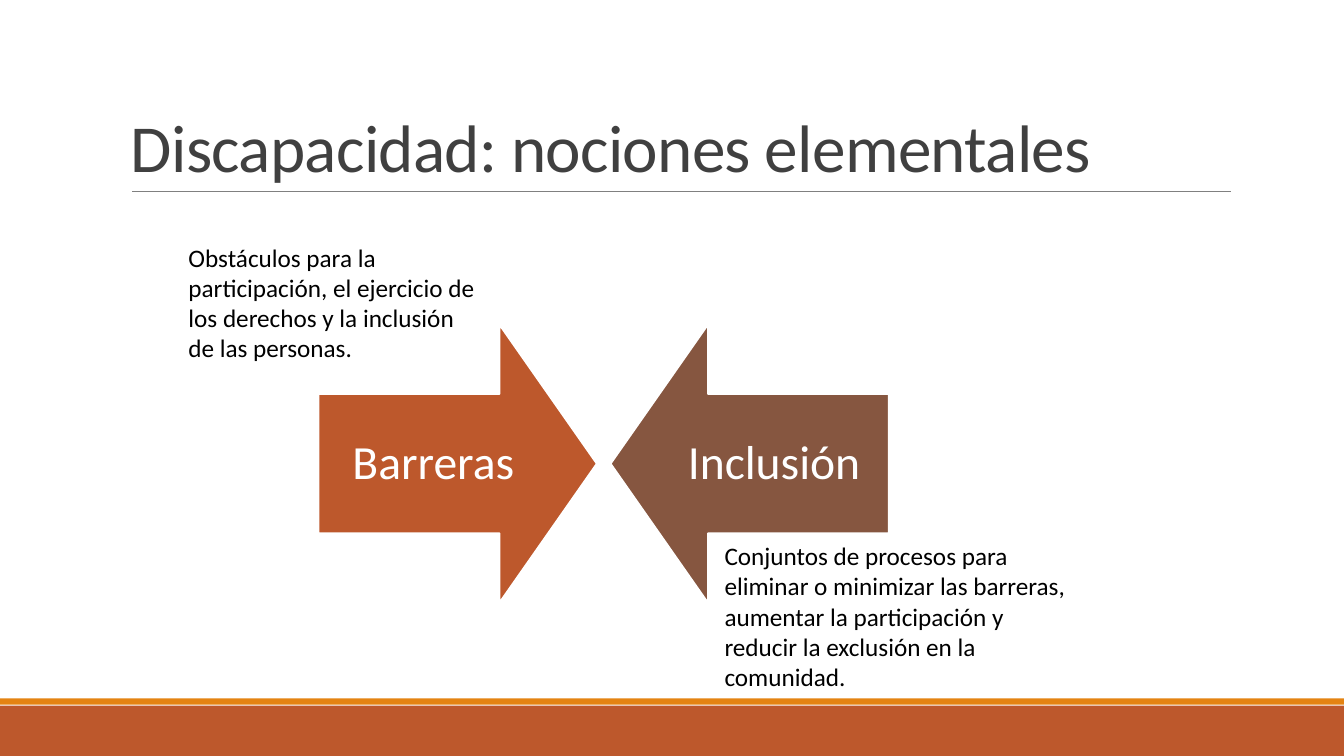
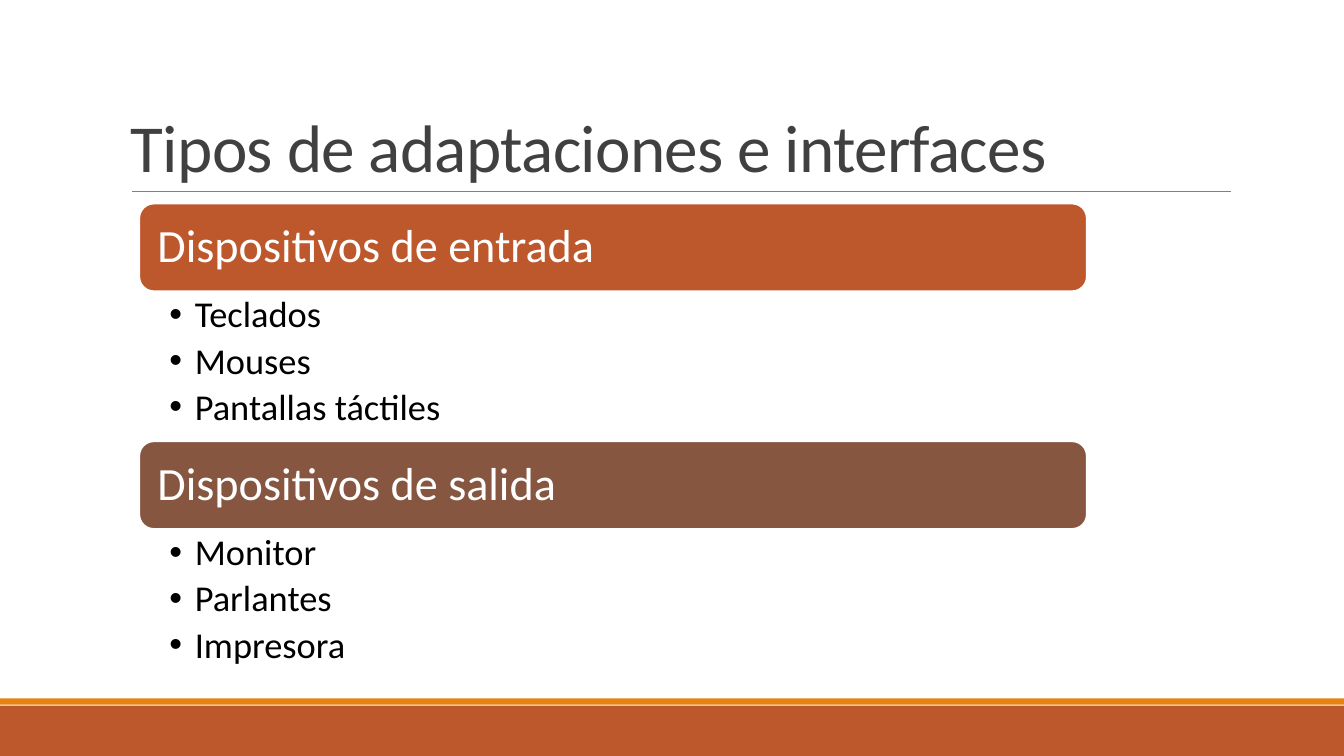
import pptx
import pptx.dml.color
import pptx.enum.shapes
import pptx.enum.text
import pptx.oxml.ns
import pptx.util
from lxml import etree

Cm = pptx.util.Cm
Pt = pptx.util.Pt
RGBColor = pptx.dml.color.RGBColor
Shape = pptx.enum.shapes.MSO_SHAPE
Anchor = pptx.enum.text.MSO_ANCHOR
Align = pptx.enum.text.PP_ALIGN
qn = pptx.oxml.ns.qn

RUST = RGBColor(0xBD, 0x58, 0x2C)
ORANGE = RGBColor(0xE4, 0x83, 0x12)
BROWN = RGBColor(0x86, 0x56, 0x40)
DARK_GRAY = RGBColor(0x40, 0x40, 0x40)
GRAY = RGBColor(0x80, 0x80, 0x80)
WHITE = RGBColor(0xFF, 0xFF, 0xFF)
BLACK = RGBColor(0, 0, 0)

FONT = "Calibri"
PAGE_WIDTH, PAGE_HEIGHT = 33.87, 19.05
RULE_TOP = 4.83
DEFAULT_INSETS = (0.25, 0.13, 0.25, 0.13)

ARROW_SIZE = 7.01
ARROW_TOP = 8.18
LIST_LEFT, LIST_TOP, LIST_WIDTH = 3.51, 5.13, 23.88
HEADING_HEIGHT, ITEMS_HEIGHT = 2.21, 3.78


def add_bullet(para):
    properties = para._p.get_or_add_pPr()
    indent = Cm(0.64)
    properties.set("marL", str(indent))
    properties.set("indent", str(-indent))
    font = etree.SubElement(properties, qn("a:buFont"))
    font.set("typeface", "Arial")
    etree.SubElement(properties, qn("a:buChar")).set("char", "•")


def write_text(shape, *lines, size=18, color=BLACK, align=Align.LEFT,
               anchor=Anchor.TOP, insets=DEFAULT_INSETS, line_spacing=1.0,
               space_after=0, tracking=0, bullets=False):
    """Write one paragraph per line; insets run left, top, right, bottom in cm."""
    frame = shape.text_frame
    frame.word_wrap = True
    frame.vertical_anchor = anchor
    (frame.margin_left, frame.margin_top,
     frame.margin_right, frame.margin_bottom) = map(Cm, insets)
    for index, line in enumerate(lines):
        para = frame.add_paragraph() if index else frame.paragraphs[0]
        if bullets:
            add_bullet(para)
        para.alignment = align
        para.line_spacing = line_spacing
        para.space_after = Pt(space_after)
        span = para.add_run()
        span.text = line
        span.font.name = FONT
        span.font.size = Pt(size)
        span.font.color.rgb = color
        if tracking:
            span._r.get_or_add_rPr().set("spc", str(round(tracking * 100)))


def add_text(page, left, top, width, height, *lines, **text_format):
    box = page.shapes.add_textbox(Cm(left), Cm(top), Cm(width), Cm(height))
    write_text(box, *lines, **text_format)


def add_filled(page, kind, left, top, width, height, fill, outlined=False):
    shape = page.shapes.add_shape(kind, Cm(left), Cm(top), Cm(width), Cm(height))
    shape.shadow.inherit = False
    shape.fill.solid()
    shape.fill.fore_color.rgb = fill
    if outlined:
        shape.line.color.rgb = WHITE
        shape.line.width = Pt(1.25)
    else:
        shape.line.fill.background()
    return shape


def add_rule(page, left, right, top):
    rule = page.shapes.add_connector(
        pptx.enum.shapes.MSO_CONNECTOR.STRAIGHT,
        Cm(left), Cm(top), Cm(right), Cm(top))
    rule.line.color.rgb = GRAY
    rule.line.width = Pt(0.5)
    etree.SubElement(rule._element.spPr, qn("a:effectLst"))


def add_page(deck, title):
    """Add a blank page with the shared bands, rule and title."""
    page = deck.slides.add_slide(deck.slide_layouts[6])
    add_filled(page, Shape.RECTANGLE, 0, 17.78, PAGE_WIDTH, 1.27, RUST)
    add_filled(page, Shape.RECTANGLE, 0, 17.6, PAGE_WIDTH, 0.16, ORANGE)
    add_rule(page, 3.33, 31.01, RULE_TOP)
    add_text(page, 3.05, 0.79, 27.94, RULE_TOP - 0.79, title, size=48,
             color=DARK_GRAY, anchor=Anchor.BOTTOM, line_spacing=0.85,
             tracking=-0.5)
    return page


def add_arrow(page, kind, left, fill, label):
    arrow = add_filled(page, kind, left, ARROW_TOP, ARROW_SIZE, ARROW_SIZE,
                       fill, outlined=True)
    arrow.adjustments[0] = 0.5
    arrow.adjustments[1] = 0.35
    write_text(arrow, label, size=34, color=WHITE, align=Align.CENTER,
               anchor=Anchor.MIDDLE, insets=(0.66,) * 4, line_spacing=0.9)


def add_device_group(page, top, fill, heading, items):
    bar = add_filled(page, Shape.ROUNDED_RECTANGLE, LIST_LEFT, top, LIST_WIDTH,
                     HEADING_HEIGHT, fill, outlined=True)
    write_text(bar, heading, size=33, color=WHITE, anchor=Anchor.MIDDLE,
               insets=(0.35,) * 4, line_spacing=0.9)
    add_text(page, LIST_LEFT, top + HEADING_HEIGHT, LIST_WIDTH, ITEMS_HEIGHT,
             *items, size=26, insets=(0.76, 0.13, 0.66, 0.13),
             line_spacing=0.9, space_after=5, bullets=True)


def build_notions(deck):
    page = add_page(deck, "Discapacidad: nociones elementales")
    add_arrow(page, Shape.RIGHT_ARROW, 8.03, RUST, "Barreras")
    add_arrow(page, Shape.LEFT_ARROW, 15.39, BROWN, "Inclusión")
    add_text(page, 4.5, 5.97, 7.72, 4.11,
             "Obstáculos para la participación, el ejercicio de los derechos "
             "y la inclusión de las personas.")
    add_text(page, 18.01, 13.49, 9.47, 4.11,
             "Conjuntos de procesos para eliminar o minimizar las barreras, "
             "aumentar la participación y reducir la exclusión en la comunidad.")


def build_devices(deck):
    page = add_page(deck, "Tipos de adaptaciones e interfaces")
    groups = [
        (RUST, "Dispositivos de entrada",
         ["Teclados", "Mouses", "Pantallas táctiles"]),
        (BROWN, "Dispositivos de salida",
         ["Monitor", "Parlantes", "Impresora"]),
    ]
    for index, group in enumerate(groups):
        top = LIST_TOP + index * (HEADING_HEIGHT + ITEMS_HEIGHT)
        add_device_group(page, top, *group)


def main():
    deck = pptx.Presentation()
    deck.slide_width = Cm(PAGE_WIDTH)
    deck.slide_height = Cm(PAGE_HEIGHT)
    build_notions(deck)
    build_devices(deck)
    deck.save("out.pptx")


if __name__ == "__main__":
    main()
